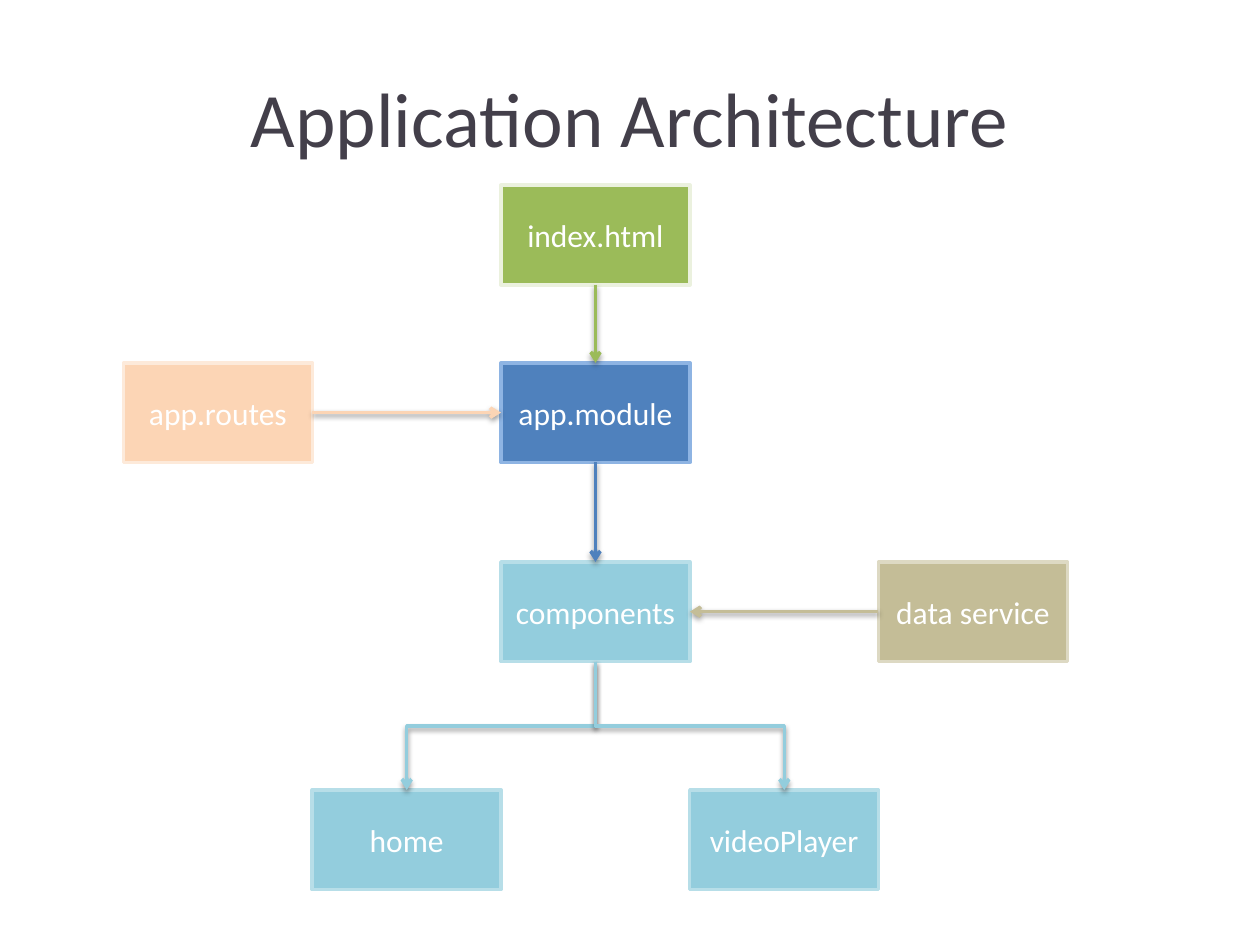
from dataclasses import dataclass

from lxml import etree
from pptx import Presentation
from pptx.dml.color import RGBColor
from pptx.enum import shapes, text
from pptx.oxml import ns, parse_xml
from pptx.util import Inches, Pt

FONT = "Calibri"
BOX_WIDTH, BOX_HEIGHT = 1.5, 0.79
COLUMN_LEFT, COLUMN_STEP = 0.98, 1.498
ROW_TOPS = (1.47, 2.88, 4.46, 6.27)
TOP, LEFT, BOTTOM, RIGHT = range(4)  # connection sites of a rectangle

SHADOW = f"""<a:effectLst {ns.nsdecls("a")}>
  <a:outerShdw blurRad="{Pt(3.1)}" dist="{Pt(1.6)}" dir="5400000" rotWithShape="0">
    <a:srgbClr val="000000"><a:alpha val="38000"/></a:srgbClr>
  </a:outerShdw>
</a:effectLst>"""


@dataclass
class Box:
    label: str
    column: int
    row: int
    fill: str
    border: str


@dataclass
class Arrow:
    source: str
    target: str
    source_site: int
    target_site: int
    bent: bool = False


BOXES = [
    Box("index.html", 2, 0, "9BBB59", "EBF1DE"),
    Box("app.module", 2, 1, "4F81BD", "8EB4E3"),
    Box("app.routes", 0, 1, "FCD5B5", "FDEADA"),
    Box("components", 2, 2, "93CDDD", "B7DEE8"),
    Box("home", 1, 3, "93CDDD", "B7DEE8"),
    Box("videoPlayer", 3, 3, "93CDDD", "B7DEE8"),
    Box("data service", 4, 2, "C4BD97", "DDD9C3"),
]

ARROWS = [
    Arrow("index.html", "app.module", BOTTOM, TOP),
    Arrow("app.routes", "app.module", RIGHT, LEFT),
    Arrow("app.module", "components", BOTTOM, TOP),
    Arrow("data service", "components", LEFT, RIGHT),
    Arrow("components", "home", BOTTOM, TOP, bent=True),
    Arrow("components", "videoPlayer", BOTTOM, TOP, bent=True),
]


def color(value: str) -> RGBColor:
    return RGBColor.from_string(value)


def format_text(frame, content: str, size: float, font_color: str) -> None:
    frame.text = content
    frame.vertical_anchor = text.MSO_ANCHOR.MIDDLE
    paragraph = frame.paragraphs[0]
    paragraph.alignment = text.PP_ALIGN.CENTER
    font = paragraph.runs[0].font
    font.name, font.size = FONT, Pt(size)
    font.color.rgb = color(font_color)


def draw_box(slide, box: Box):
    shape = slide.shapes.add_shape(
        shapes.MSO_SHAPE.RECTANGLE,
        Inches(COLUMN_LEFT + box.column * COLUMN_STEP), Inches(ROW_TOPS[box.row]),
        Inches(BOX_WIDTH), Inches(BOX_HEIGHT))
    shape.shadow.inherit = False
    shape.fill.solid()
    shape.fill.fore_color.rgb = color(box.fill)
    shape.line.color.rgb = color(box.border)
    shape.line.width = Pt(2)
    format_text(shape.text_frame, box.label, 18, "FFFFFF")
    return shape


def turn_downward(connector) -> None:
    """Rotate an elbow so that it leaves and arrives vertically."""
    x1, y1 = connector.begin_x, connector.begin_y
    x2, y2 = connector.end_x, connector.end_y
    width, height = y2 - y1, abs(x2 - x1)
    connector.left = (x1 + x2 - width) // 2
    connector.top = (y1 + y2 - height) // 2
    connector.width, connector.height = width, height
    to_left = x2 < x1
    transform = connector._element.spPr.find(ns.qn("a:xfrm"))
    transform.set("rot", str((90 if to_left else 270) * 60000))
    transform.set("flipH", "0" if to_left else "1")


def draw_arrow(slide, arrow: Arrow, drawn: dict) -> None:
    kind = shapes.MSO_CONNECTOR.ELBOW if arrow.bent else shapes.MSO_CONNECTOR.STRAIGHT
    connector = slide.shapes.add_connector(kind, 0, 0, 0, 0)
    source = drawn[arrow.source]
    connector.begin_connect(source, arrow.source_site)
    connector.end_connect(drawn[arrow.target], arrow.target_site)
    if arrow.bent:
        turn_downward(connector)
    connector.line.color.rgb = source.fill.fore_color.rgb
    connector.line.width = Pt(2)
    # Arrowhead and soft shadow
    line = connector.line._get_or_add_ln()
    etree.SubElement(line, ns.qn("a:tailEnd"), type="arrow")
    connector._element.spPr.append(parse_xml(SHADOW))


def main() -> None:
    presentation = Presentation()
    presentation.slide_width, presentation.slide_height = Inches(10), Inches(7.5)
    slide = presentation.slides.add_slide(presentation.slide_layouts[5])

    # Title
    title = slide.shapes.title
    title.left, title.top = Inches(0.5), Inches(0.3)
    title.width, title.height = Inches(9), Inches(1.25)
    format_text(title.text_frame, "Application Architecture", 44, "433F4A")

    # Diagram
    drawn = {box.label: draw_box(slide, box) for box in BOXES}
    for arrow in ARROWS:
        draw_arrow(slide, arrow, drawn)

    presentation.save("out.pptx")


if __name__ == "__main__":
    main()
